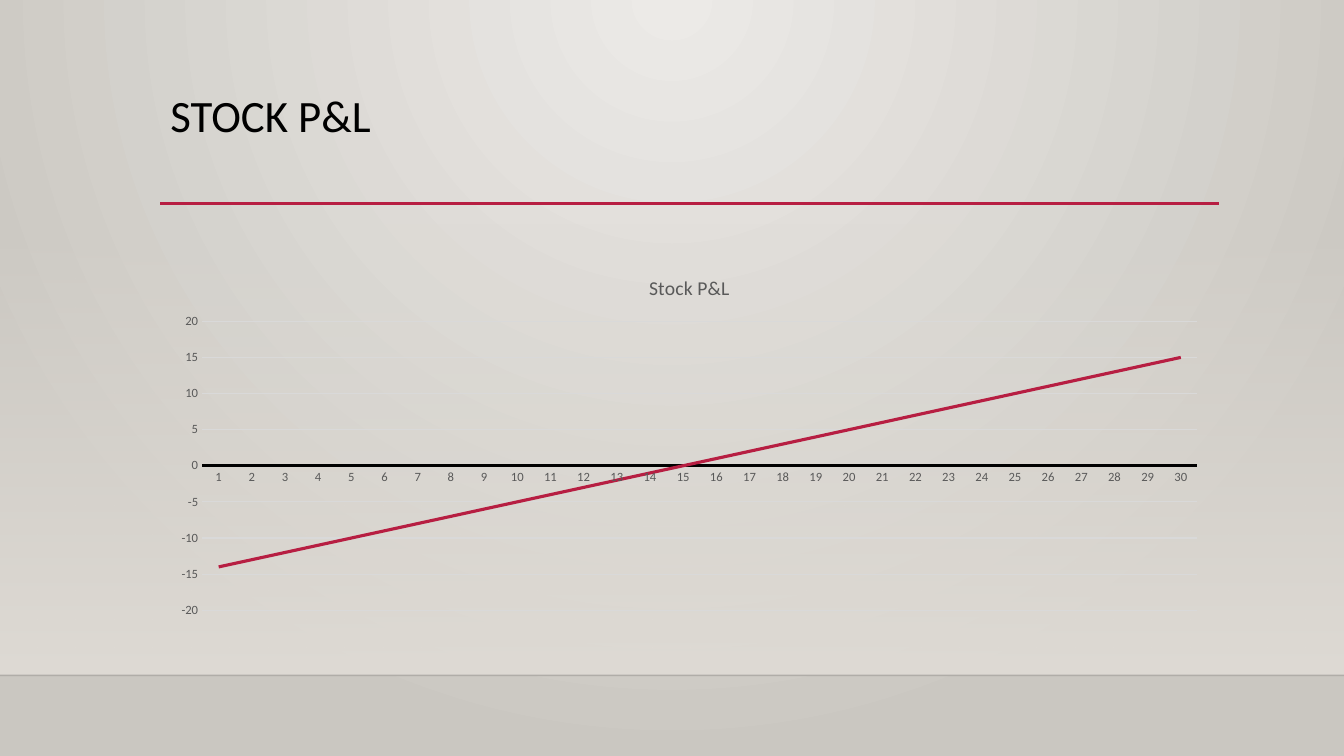
from lxml.etree import SubElement
from pptx import Presentation
from pptx.chart.data import CategoryChartData
from pptx.dml.color import RGBColor
from pptx.enum.chart import XL_CHART_TYPE, XL_TICK_MARK
from pptx.enum.shapes import MSO_CONNECTOR, MSO_SHAPE
from pptx.enum.text import MSO_ANCHOR, PP_ALIGN
from pptx.oxml import parse_xml
from pptx.oxml.ns import nsdecls, qn
from pptx.util import Cm, Pt

# Content
TITLE = "STOCK P&L"
CHART_TITLE = "Stock P&L"
BREAK_EVEN = 15
PRICES = range(1, 31)
PROFITS = [price - BREAK_EVEN for price in PRICES]

# Style and layout
FONT = "Calibri"
RED, BLACK, GREY, GRID = "B71E42", "000000", "595959", "D9D9D9"
WIDTH, HEIGHT = Cm(33.87), Cm(19.05)
LEFT, CONTENT_W = Cm(4.04), Cm(26.67)
RULE_Y, FLOOR_Y, WALL_Y = Cm(5.13), Cm(17.02), Cm(5.61)


def rgb(color):
    return RGBColor.from_string(color)


def style_font(font, size, color):
    font.name, font.size, font.bold = FONT, Pt(size), False
    font.color.rgb = rgb(color)


def write(tf, text, size=18, color=BLACK, align=PP_ALIGN.LEFT, spacing=None):
    p = tf.paragraphs[0]
    p.alignment, p.line_spacing = align, spacing
    r = p.add_run()
    r.text = text
    style_font(r.font, size, color)


def gradient(stops, direction):
    """Build a gradient fill from (position, colour, opacity) in percent."""
    gs = "".join(
        f'<a:gs pos="{pos * 1000}"><a:srgbClr val="{color}">'
        f'<a:alpha val="{alpha * 1000}"/></a:srgbClr></a:gs>'
        for pos, color, alpha in stops)
    return parse_xml(f'<a:gradFill {nsdecls("a")} rotWithShape="1">'
                     f'<a:gsLst>{gs}</a:gsLst>{direction}</a:gradFill>')


def set_gradient(fill, parent, stops, direction):
    fill.solid()
    old = parent.find(qn("a:solidFill"))
    parent.replace(old, gradient(stops, direction))


def add_rule(s, x, y, width, color, weight, alpha=100):
    line = s.shapes.add_connector(MSO_CONNECTOR.STRAIGHT, x, y, x + width, y)
    line.line.color.rgb = rgb(color)
    line.line.width = Pt(weight)
    sp_pr = line._element.spPr
    clr = sp_pr.find(".//" + qn("a:srgbClr"))
    SubElement(clr, qn("a:alpha")).set("val", str(alpha * 1000))
    SubElement(sp_pr, qn("a:effectLst"))


prs = Presentation()
prs.slide_width, prs.slide_height = WIDTH, HEIGHT
s = prs.slides.add_slide(prs.slide_layouts[5])

# Background, lit from the top centre
bg_fill = s.background.fill
set_gradient(bg_fill, s.element.find(".//" + qn("p:bgPr")),
             [(0, "ECEAE7", 100), (100, "CAC7C1", 100)],
             '<a:path path="circle"><a:fillToRect l="43000" t="0" '
             'r="43000" b="100000"/></a:path>')

# Wall fading in above the floor line
wall = s.shapes.add_shape(MSO_SHAPE.RECTANGLE, 0, WALL_Y,
                          WIDTH, FLOOR_Y - WALL_Y)
wall.shadow.inherit = False
wall.line.fill.background()
set_gradient(wall.fill, wall._element.spPr,
             [(0, "DFDBD5", 0), (100, "DFDBD5", 100)],
             '<a:lin ang="5400000" scaled="0"/>')
add_rule(s, 0, FLOOR_Y, WIDTH, BLACK, 1, alpha=20)
add_rule(s, LEFT, RULE_Y, CONTENT_W, RED, 2.5)

# Title
title = s.shapes.title
title.left, title.top = LEFT, Cm(2.24)
title.width, title.height = CONTENT_W, Cm(2.92)
title.text_frame.vertical_anchor = MSO_ANCHOR.TOP
write(title.text_frame, TITLE, size=32, spacing=0.9)

# Chart
data = CategoryChartData()
data.categories = [str(price) for price in PRICES]
data.add_series("Series 1", PROFITS)
chart = s.shapes.add_chart(XL_CHART_TYPE.LINE, LEFT, Cm(6.5),
                           CONTENT_W, Cm(9.25), data).chart
style_font(chart.font, 10, BLACK)
chart.has_legend = False
chart.has_title = True
write(chart.chart_title.text_frame, CHART_TITLE, size=14, color=GREY,
      align=PP_ALIGN.CENTER)
chart.chart_title.include_in_layout = False
chart.plots[0].vary_by_categories = False

series = chart.plots[0].series[0]
series.smooth = False
series.format.line.color.rgb = rgb(RED)
series.format.line.width = Pt(2.25)

# Axes
for axis in (chart.category_axis, chart.value_axis):
    axis.major_tick_mark = axis.minor_tick_mark = XL_TICK_MARK.NONE
    style_font(axis.tick_labels.font, 9, GREY)
zero_line = chart.category_axis.format.line
zero_line.color.rgb = rgb(BLACK)
zero_line.width = Pt(2.5)

profit = chart.value_axis
profit.minimum_scale, profit.maximum_scale, profit.major_unit = -20, 20, 5
profit.format.line.fill.background()
profit.has_major_gridlines = True
profit.major_gridlines.format.line.color.rgb = rgb(GRID)
profit.major_gridlines.format.line.width = Pt(0.75)

prs.save("out.pptx")
